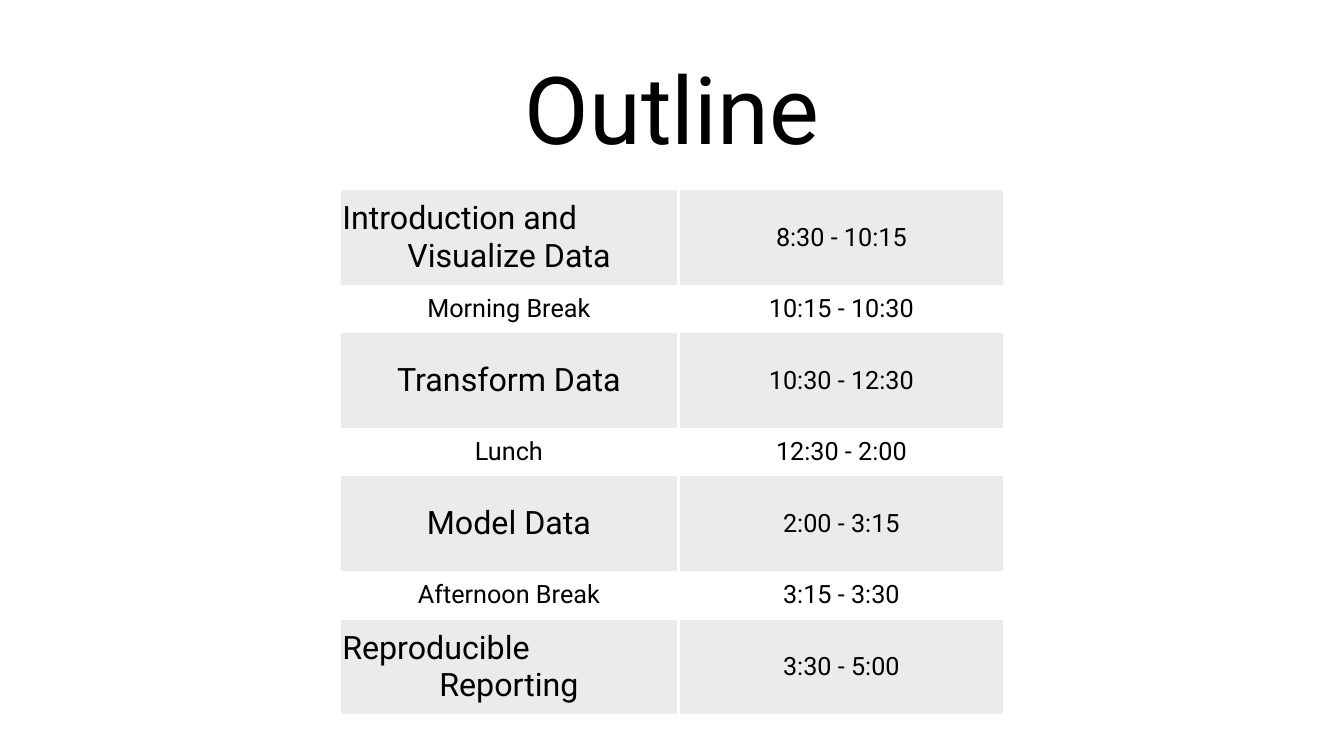
from dataclasses import dataclass

from lxml.etree import SubElement
from pptx import Presentation
from pptx.dml.color import RGBColor
from pptx.enum.text import MSO_ANCHOR as Anchor, PP_ALIGN as Align
from pptx.oxml.ns import qn
from pptx.slide import Slide
from pptx.util import Pt

COLORS = {"text": "000000", "band": "EBEBEB", "border": "FFFFFF"}

SESSIONS = [
    (["Introduction and", "Visualize Data"], "8:30 - 10:15"),
    (["Morning Break"], "10:15 - 10:30"),
    (["Transform Data"], "10:30 - 12:30"),
    (["Lunch"], "12:30 - 2:00"),
    (["Model Data"], "2:00 - 3:15"),
    (["Afternoon Break"], "3:15 - 3:30"),
    (["Reproducible", "Reporting"], "3:30 - 5:00"),
]


@dataclass
class Deck:
    slide: Slide
    font: str = "Roboto"
    inset: float = 4
    topic_size: float = 46
    small_size: float = 36
    border_width: float = 5

    def add_lines(self, frame, lines, size):
        frame.word_wrap = True
        for index, line in enumerate(lines):
            paragraph = frame.paragraphs[0] if index == 0 else frame.add_paragraph()
            is_last = index == len(lines) - 1
            paragraph.alignment = Align.CENTER if is_last else Align.LEFT
            run = paragraph.add_run()
            run.text = line
            run.font.name = self.font
            run.font.size = Pt(size)
            run.font.color.rgb = RGBColor.from_string(COLORS["text"])

    def pad(self, holder):
        holder.margin_left = holder.margin_right = Pt(self.inset)
        holder.margin_top = holder.margin_bottom = Pt(self.inset)
        holder.vertical_anchor = Anchor.MIDDLE

    def title(self, text, left, top, width, height, size):
        box = self.slide.shapes.add_textbox(Pt(left), Pt(top), Pt(width), Pt(height))
        self.pad(box.text_frame)
        self.add_lines(box.text_frame, [text], size)

    def cell(self, cell, lines, size, banded):
        self.pad(cell)
        self.add_lines(cell.text_frame, lines, size)
        properties = cell._tc.get_or_add_tcPr()
        for side in ("a:lnL", "a:lnR", "a:lnT", "a:lnB"):
            border = SubElement(properties, qn(side), w=str(Pt(self.border_width)))
            fill = SubElement(border, qn("a:solidFill"))
            SubElement(fill, qn("a:srgbClr"), val=COLORS["border"])
        if banded:
            cell.fill.solid()
            cell.fill.fore_color.rgb = RGBColor.from_string(COLORS["band"])
        else:
            cell.fill.background()

    def schedule(self, sessions, left, top, widths, session_height, break_height):
        heights = [break_height if i % 2 else session_height for i in range(len(sessions))]
        table = self.slide.shapes.add_table(
            len(sessions), len(widths), Pt(left), Pt(top), Pt(sum(widths)), Pt(sum(heights))
        ).table
        table.first_row = table.horz_banding = False
        for column, width in zip(table.columns, widths):
            column.width = Pt(width)
        for index, (topic, time) in enumerate(sessions):
            table.rows[index].height = Pt(heights[index])
            is_session = index % 2 == 0
            topic_size = self.topic_size if is_session else self.small_size
            self.cell(table.cell(index, 0), topic, topic_size, is_session)
            self.cell(table.cell(index, 1), [time], self.small_size, is_session)


def main():
    presentation = Presentation()
    presentation.slide_width = Pt(1920)
    presentation.slide_height = Pt(1080)
    deck = Deck(presentation.slides.add_slide(presentation.slide_layouts[6]))
    deck.title("Outline", 315.5, 58.5, 1289, 188.5, 134)
    deck.schedule(SESSIONS, 485, 269.5, [484, 466], 139.5, 65)
    presentation.save("out.pptx")


if __name__ == "__main__":
    main()
